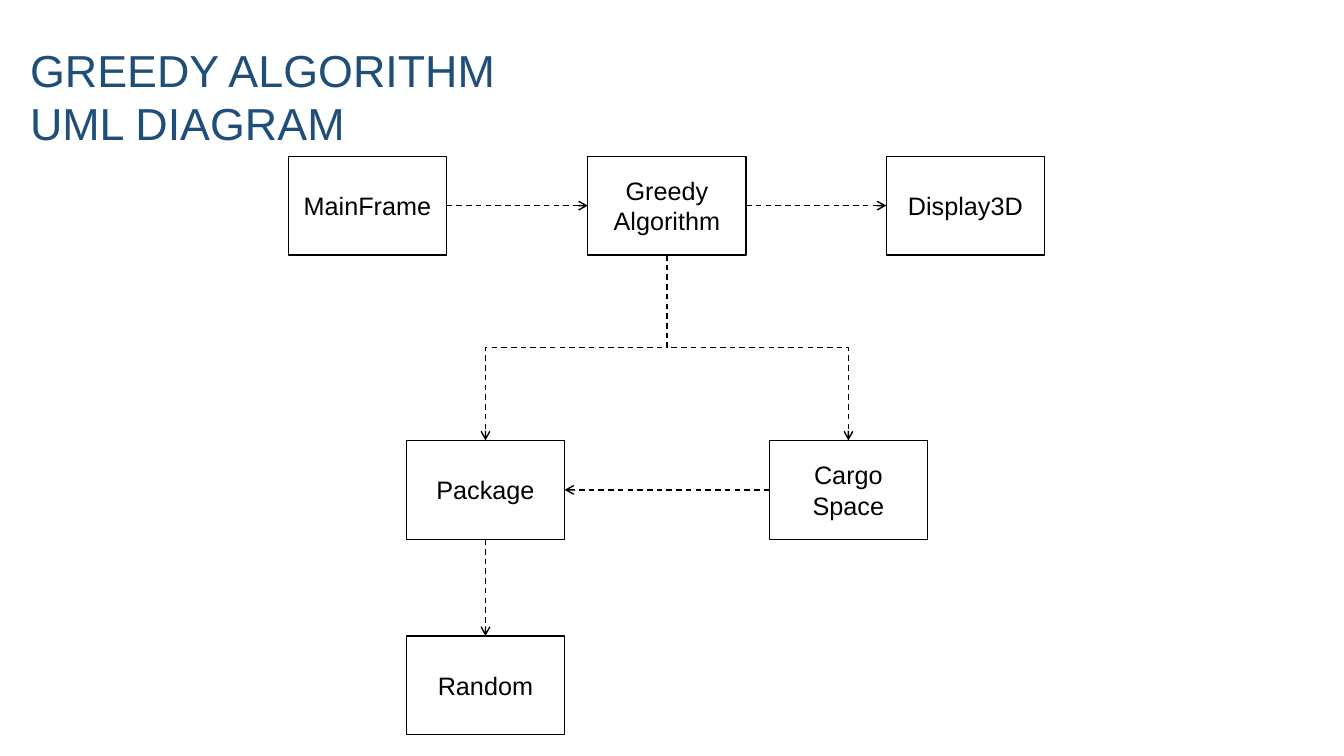
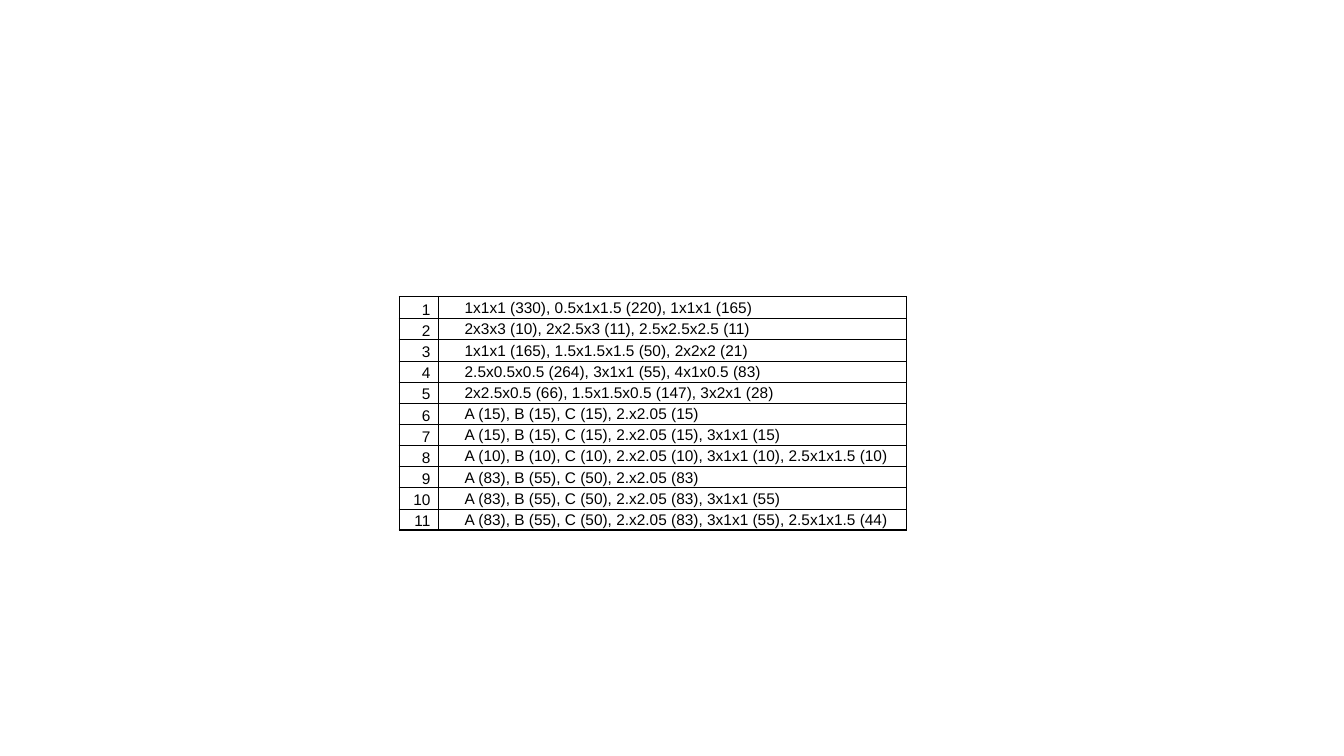
import pptx
import pptx.util
import pptx.dml.color
import pptx.enum.dml
import pptx.enum.shapes
import pptx.enum.text
import pptx.oxml.ns
import lxml.etree

PX = 9144  # EMU per px, 100 px to the inch
COLORS = {"title": "1F4E79", "ink": "000000", "paper": "FFFFFF"}
FONT = "Arial"
TOP, LEFT, BOTTOM, RIGHT = range(4)
ALIGN = pptx.enum.text.PP_ALIGN
ANCHOR = pptx.enum.text.MSO_ANCHOR
CONNECTOR = pptx.enum.shapes.MSO_CONNECTOR


def px(n):
    return pptx.util.Emu(n * PX)


def rgb(name):
    return pptx.dml.color.RGBColor.from_string(COLORS[name])


def sub(parent, tag, **attrs):
    return lxml.etree.SubElement(parent, pptx.oxml.ns.qn(tag), attrs)


class Deck:
    def __init__(self, width, height):
        self.prs = pptx.Presentation()
        self.prs.slide_width, self.prs.slide_height = px(width), px(height)
        self.s = None

    def slide(self):
        self.s = self.prs.slides.add_slide(self.prs.slide_layouts[6])

    def add_text(self, tf, text, size, color="ink", align=ALIGN.LEFT):
        """Fill a frame: a newline starts a paragraph, a vertical tab a line."""
        for i, para in enumerate(text.split("\n")):
            p = tf.add_paragraph() if i else tf.paragraphs[0]
            p.alignment = align
            for j, line in enumerate(para.split("\v")):
                if j:
                    p.add_line_break()
                r = p.add_run()
                r.text = line
                r.font.name, r.font.size = FONT, pptx.util.Pt(size)
                r.font.color.rgb = rgb(color)

    def title(self, text, x, y, w, h):
        tf = self.s.shapes.add_textbox(px(x), px(y), px(w), px(h)).text_frame
        tf.word_wrap = True
        tf.auto_size = pptx.enum.text.MSO_AUTO_SIZE.SHAPE_TO_FIT_TEXT
        self.add_text(tf, text, 32, "title")

    def box(self, text, x, y, w=157, h=98):
        sp = self.s.shapes.add_shape(pptx.enum.shapes.MSO_SHAPE.RECTANGLE,
                                     px(x), px(y), px(w), px(h))
        sp.shadow.inherit = False
        sp.fill.solid()
        sp.fill.fore_color.rgb = rgb("paper")
        sp.line.color.rgb = rgb("ink")
        sp.line.width = pptx.util.Pt(1)
        sp.text_frame.word_wrap = True
        sp.text_frame.vertical_anchor = ANCHOR.MIDDLE
        self.add_text(sp.text_frame, text, 18, align=ALIGN.CENTER)
        return sp

    def style_arrow(self, line):
        line.line.color.rgb = rgb("ink")
        line.line.width = pptx.util.Pt(1)
        line.line.dash_style = pptx.enum.dml.MSO_LINE.DASH
        spPr = line._element.spPr
        sub(spPr.get_or_add_ln(), "a:tailEnd", type="arrow")
        sub(spPr, "a:effectLst")

    def arrow(self, source, source_side, target, target_side):
        line = self.s.shapes.add_connector(CONNECTOR.STRAIGHT, 0, 0, 0, 0)
        line.begin_connect(source, source_side)
        line.end_connect(target, target_side)
        self.style_arrow(line)

    def branch(self, source, target):
        """Bent arrow from the bottom of source down to the top of target."""
        x1, y1 = source.left + source.width // 2, source.top + source.height
        x2, y2 = target.left + target.width // 2, target.top
        cx, cy = (x1 + x2) // 2, (y1 + y2) // 2
        # The bent preset runs sideways, so it is laid flat and then turned.
        half_w, half_h = (y2 - y1) // 2, abs(x2 - x1) // 2
        rightward = x2 > x1
        if rightward:
            half_w = -half_w
        line = self.s.shapes.add_connector(CONNECTOR.ELBOW, cx - half_w, cy - half_h,
                                           cx + half_w, cy + half_h)
        xfrm = line._element.spPr.find(pptx.oxml.ns.qn("a:xfrm"))
        xfrm.set("rot", str((270 if rightward else 90) * 60000))
        self.style_arrow(line)

    def borders(self, cell, widths):
        """Draw left, right, top and bottom edges; a width of 0 draws none."""
        tcPr = cell._tc.get_or_add_tcPr()
        for side, width in zip("LRTB", widths):
            ln = sub(tcPr, "a:ln" + side, w=str(int(pptx.util.Pt(width))))
            if width:
                sub(sub(ln, "a:solidFill"), "a:srgbClr", val=COLORS["ink"])
            else:
                sub(ln, "a:noFill")

    def numbered_table(self, lines, x, y, cols, row_heights, size=11):
        """Numbers at the left, two narrow gaps around a rule, then the text."""
        last = len(lines) - 1
        frame = self.s.shapes.add_table(len(lines), len(cols), px(x), px(y),
                                        px(sum(cols)), px(sum(row_heights)))
        table = frame.table
        table.first_row = table.horz_banding = False
        for col, width in zip(table.columns, cols):
            col.width = px(width)
        verticals = [(1, 0), (0, 0.5), (0.5, 0), (0, 1)]
        for i, line in enumerate(lines):
            table.rows[i].height = px(row_heights[i])
            horizontals = (0.5 if i else 1, 1 if i == last else 0.5)
            for j, sides in enumerate(verticals):
                cell = table.cell(i, j)
                cell.margin_left = px(19 if j == 3 else 1)
                cell.margin_right = cell.margin_top = px(1)
                cell.margin_bottom = 0
                cell.vertical_anchor = ANCHOR.MIDDLE if j else ANCHOR.BOTTOM
                self.borders(cell, sides + horizontals)
                cell.fill.background()
                if j == 0:
                    self.add_text(cell.text_frame, str(i + 1), size, align=ALIGN.RIGHT)
                elif j == 3:
                    self.add_text(cell.text_frame, line, size)
                else:
                    p = cell.text_frame.paragraphs[0]
                    sub(p._p, "a:endParaRPr", sz=str(size * 100))


def uml_slide(deck):
    deck.slide()
    deck.title("GREEDY ALGORITHM UML DIAGRAM", 20, 37, 493, 118)
    main_frame, greedy, display = [
        deck.box(name, x, 155) for name, x in
        [("MainFrame", 286), ("Greedy\vAlgorithm", 583), ("Display3D", 879)]]
    package, cargo = [deck.box(name, x, 437) for name, x in
                      [("Package", 403), ("Cargo\nSpace", 763)]]
    random = deck.box("Random", 403, 631)
    for target in (package, cargo):
        deck.branch(greedy, target)
    for ends in [(main_frame, RIGHT, greedy, LEFT), (greedy, RIGHT, display, LEFT),
                 (cargo, LEFT, package, RIGHT), (package, BOTTOM, random, TOP)]:
        deck.arrow(*ends)


def test_cases_slide(deck):
    deck.slide()
    deck.numbered_table([
        "1x1x1 (330), 0.5x1x1.5 (220), 1x1x1 (165)",
        "2x3x3 (10), 2x2.5x3 (11), 2.5x2.5x2.5 (11)",
        "1x1x1 (165), 1.5x1.5x1.5 (50), 2x2x2 (21)",
        "2.5x0.5x0.5 (264), 3x1x1 (55), 4x1x0.5 (83)",
        "2x2.5x0.5 (66), 1.5x1.5x0.5 (147), 3x2x1 (28)",
        "A (15), B (15), C (15), 2.x2.05 (15)",
        "A (15), B (15), C (15), 2.x2.05 (15), 3x1x1 (15)",
        "A (10), B (10), C (10), 2.x2.05 (10), 3x1x1 (10), 2.5x1x1.5 (10)",
        "A (83), B (55), C (50), 2.x2.05 (83)",
        "A (83), B (55), C (50), 2.x2.05 (83), 3x1x1 (55)",
        "A (83), B (55), C (50), 2.x2.05 (83), 3x1x1 (55), 2.5x1x1.5 (44)",
    ], 396, 294, [32, 7, 7, 457], [22] + [21] * 10)


def main():
    deck = Deck(1333, 750)
    uml_slide(deck)
    test_cases_slide(deck)
    deck.prs.save("out.pptx")


if __name__ == "__main__":
    main()
